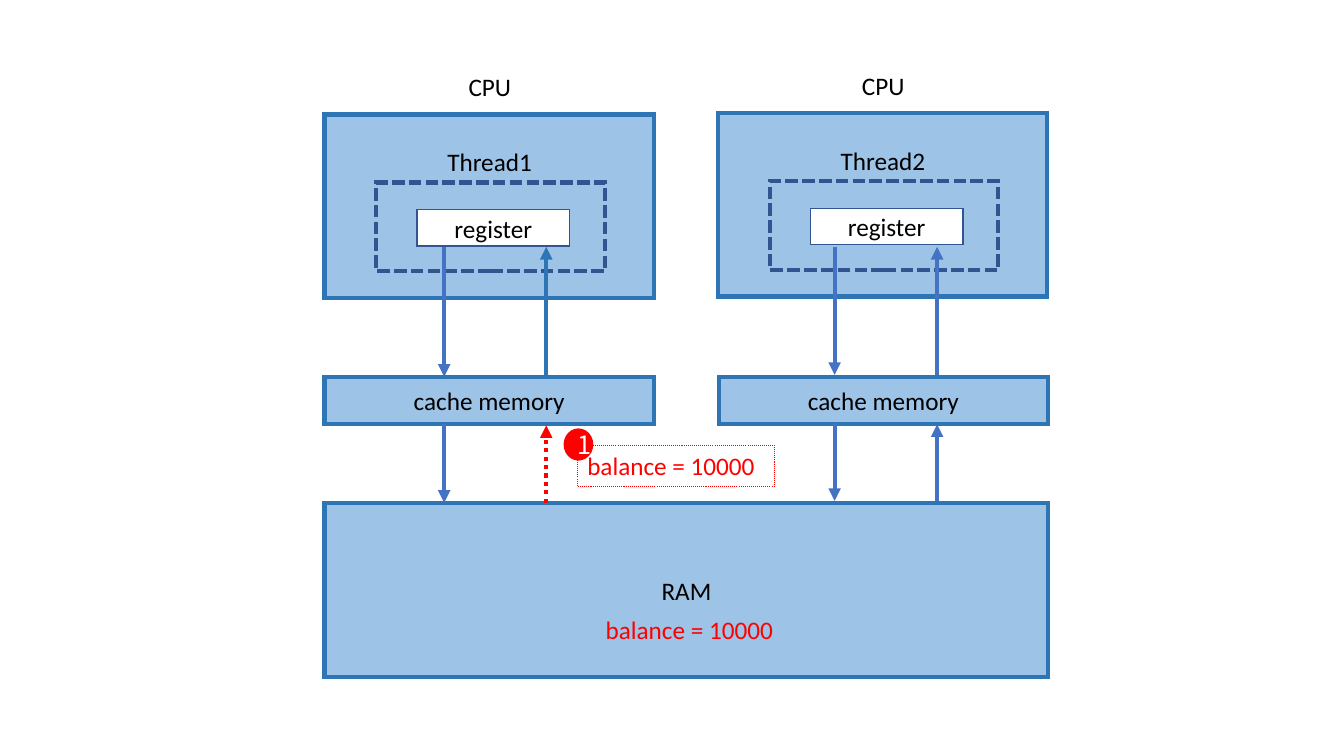
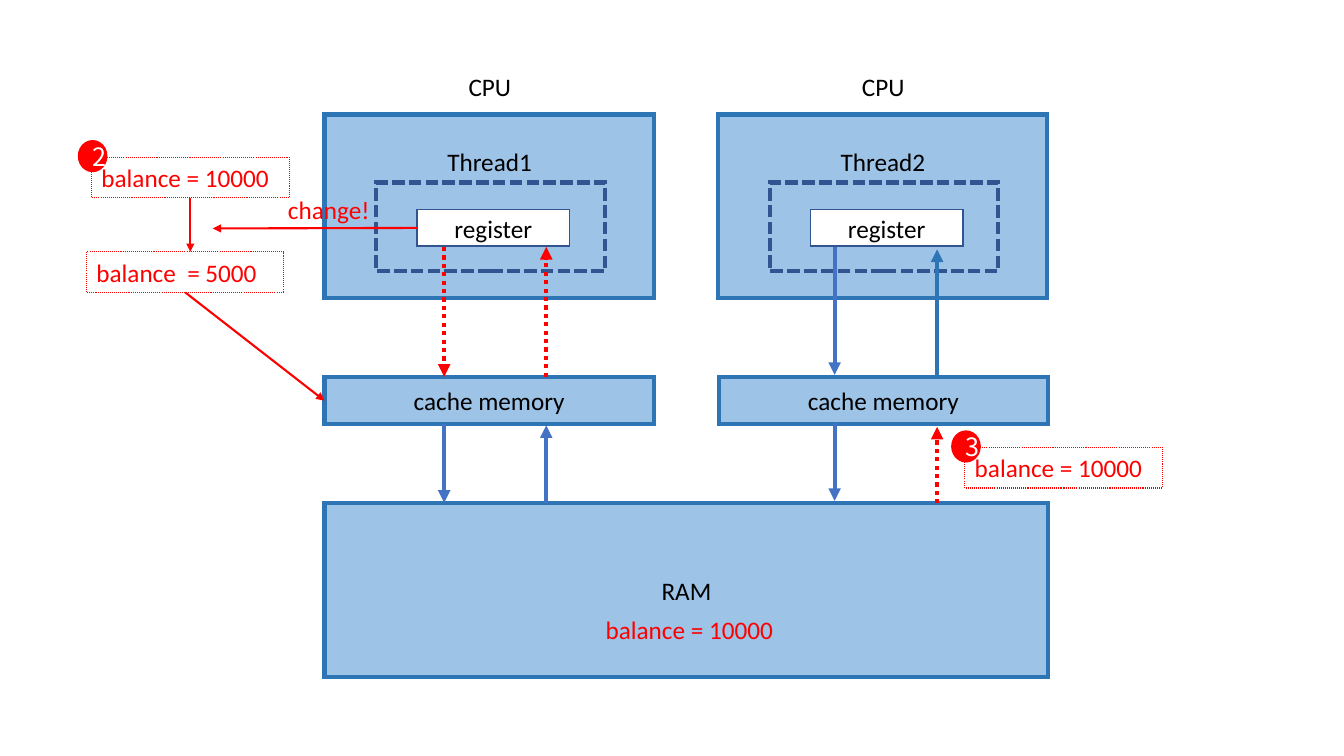
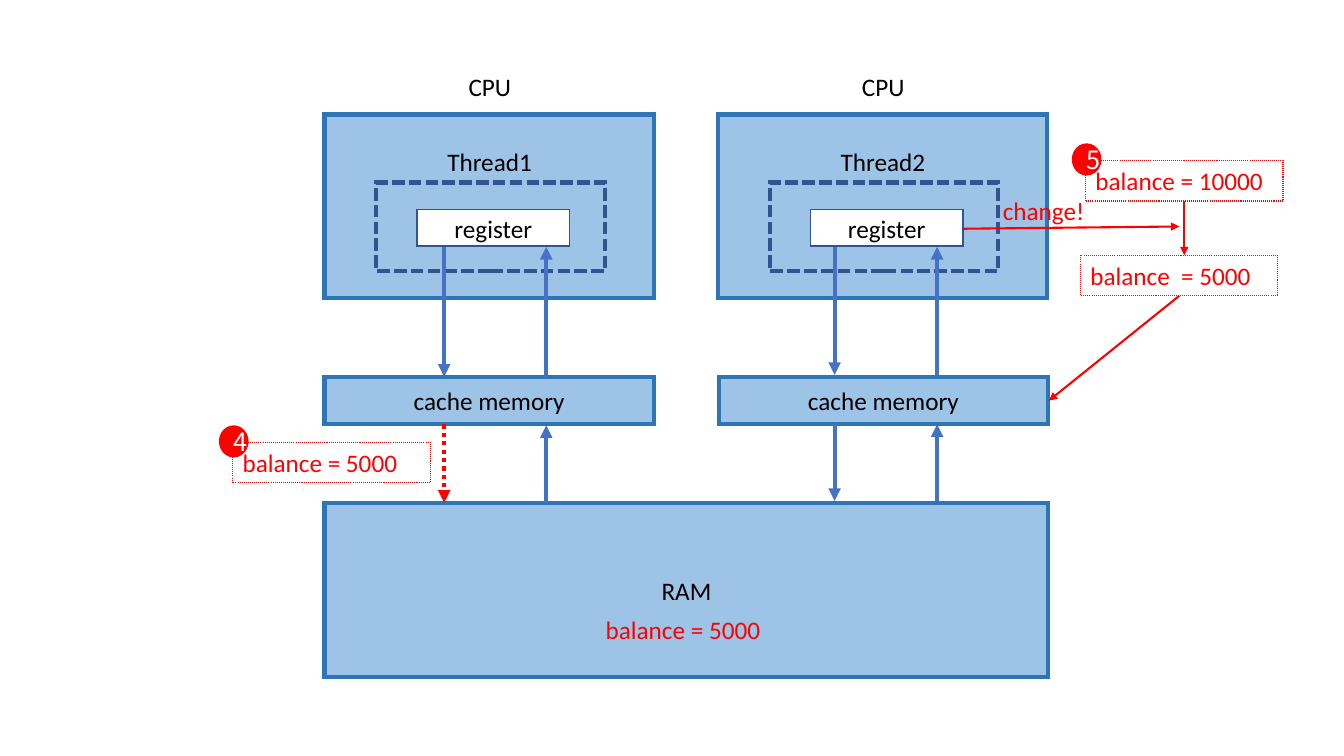
from dataclasses import dataclass
from typing import NamedTuple, Optional, Union

from lxml.etree import SubElement
from pptx import Presentation
from pptx.dml.color import RGBColor
from pptx.enum.dml import MSO_LINE
from pptx.enum.shapes import MSO_CONNECTOR, MSO_SHAPE
from pptx.enum.text import MSO_ANCHOR, MSO_AUTO_SIZE, PP_ALIGN
from pptx.oxml.ns import qn
from pptx.shapes.autoshape import Shape
from pptx.shapes.shapetree import GroupShapes, SlideShapes
from pptx.text.text import TextFrame
from pptx.util import Pt

BLACK = RGBColor(0x00, 0x00, 0x00)
WHITE = RGBColor(0xFF, 0xFF, 0xFF)
RED = RGBColor(0xFF, 0x00, 0x00)
SKY = RGBColor(0x9D, 0xC3, 0xE6)
STEEL = RGBColor(0x2E, 0x75, 0xB6)
NAVY = RGBColor(0x32, 0x54, 0x91)
BLUE = RGBColor(0x44, 0x72, 0xC4)

BODY_FONT = "Calibri"
BADGE_FONT = "Noto Sans CJK KR"
TEXT_SIZE = 18
LABEL_HEIGHT = 29

Shapes = Union[SlideShapes, GroupShapes]


class Point(NamedTuple):
    """A place on the slide, in points."""

    x: float
    y: float


class Box(NamedTuple):
    """A rectangle on the slide, in points."""

    left: float
    top: float
    width: float
    height: float


class Outline(NamedTuple):
    """Colour, width and dash of a line."""

    color: RGBColor
    width: float
    dash: Optional[MSO_LINE] = None


UNIT_EDGE = Outline(STEEL, 3)
THREAD_EDGE = Outline(NAVY, 3, MSO_LINE.SQUARE_DOT)
REGISTER_EDGE = Outline(NAVY, 1)
CALLOUT_EDGE = Outline(RED, 0.75, MSO_LINE.ROUND_DOT)
IDLE = Outline(BLUE, 3)
IDLE_DEEP = Outline(STEEL, 3)
ACTIVE = Outline(RED, 3, MSO_LINE.ROUND_DOT)
CHANGE = Outline(RED, 1.5)

CPU_LEFTS = (231.8, 512.8)
CACHE_LEFTS = (231.8, 513.4)
CPU_TOP = 81.8
UNIT_WIDTH = 235.4
RAM = Box(231.8, 359.2, 517, 124.6)
CALLOUT_WIDTH = 141.1


@dataclass(frozen=True)
class Lane:
    """One data path between two levels of memory."""

    x: float
    start: float
    end: float


LANES = {
    "store1": Lane(317.3, 176.4, 269.2),
    "load1": Lane(390.2, 269.2, 176.4),
    "flush1": Lane(317.3, 303.1, 359.2),
    "fetch1": Lane(390.2, 359.2, 303.8),
    "store2": Lane(596.2, 176.4, 267.8),
    "load2": Lane(669.4, 267.8, 176.4),
    "flush2": Lane(596.2, 302.4, 357.8),
    "fetch2": Lane(669.4, 357.8, 303.1),
}


@dataclass(frozen=True)
class Callout:
    """A numbered balance value."""

    number: str
    balance: str
    at: Point


@dataclass(frozen=True)
class Change:
    """A callout whose balance is changed and written to the cache."""

    callout: Callout
    register: Point
    tip: Point
    label: Point
    cache: Point


@dataclass(frozen=True)
class Scene:
    """What differs from slide to slide."""

    ram_balance: str
    callout: Callout
    active: tuple[str, ...]
    deep: tuple[str, ...] = ()
    change: Optional[Change] = None
    cpu2_rise: float = 0
    read2_drop: float = 0


SCENES = (
    Scene("balance = 10000", Callout("1", "balance = 10000", Point(412.4, 318.2)),
          active=("fetch1",), deep=("load1",), cpu2_rise=1),
    Scene("balance = 10000", Callout("3", "balance = 10000", Point(689.2, 319.6)),
          active=("store1", "load1", "fetch2"), deep=("load2",), read2_drop=1.8,
          change=Change(Callout("2", "balance = 10000", Point(65.4, 112.2)),
                        register=Point(298, 162.8), tip=Point(152, 163.2),
                        label=Point(198.6, 135.4), cache=Point(231.8, 286.2))),
    Scene("balance = 5000", Callout("4", "balance = 5000", Point(166.2, 316)),
          active=("flush1",),
          change=Change(Callout("5", "balance = 10000", Point(775.4, 114.6)),
                        register=Point(687.8, 163.4), tip=Point(842.4, 161.8),
                        label=Point(709.2, 136.2), cache=Point(749.2, 286.2))),
)


def write(frame: TextFrame, text: str, *, color: RGBColor = BLACK,
          font: str = BODY_FONT, align: PP_ALIGN = PP_ALIGN.CENTER,
          anchor: MSO_ANCHOR = MSO_ANCHOR.MIDDLE, wrap: bool = True,
          grow: bool = False) -> None:
    """Fill a text frame with one formatted paragraph."""
    frame.word_wrap = wrap
    frame.vertical_anchor = anchor
    if grow:
        frame.auto_size = MSO_AUTO_SIZE.SHAPE_TO_FIT_TEXT
    paragraph = frame.paragraphs[0]
    paragraph.alignment = align
    run = paragraph.add_run()
    run.text = text
    run.font.size = Pt(TEXT_SIZE)
    run.font.name = font
    run.font.color.rgb = color


def add_panel(shapes: Shapes, box: Box, *, fill: Optional[RGBColor] = None,
              edge: Optional[Outline] = None,
              preset: MSO_SHAPE = MSO_SHAPE.RECTANGLE) -> Shape:
    """Add a preset shape with the given fill and a sharp-cornered outline."""
    panel = shapes.add_shape(preset, *map(Pt, box))
    panel.shadow.inherit = False
    if fill is None:
        panel.fill.background()
    else:
        panel.fill.solid()
        panel.fill.fore_color.rgb = fill
    if edge is None:
        panel.line.fill.background()
    else:
        panel.line.color.rgb = edge.color
        panel.line.width = Pt(edge.width)
        if edge.dash is not None:
            panel.line.dash_style = edge.dash
        SubElement(panel.element.spPr.find(qn("a:ln")), qn("a:miter"), lim="800000")
    return panel


def add_label(shapes: Shapes, text: str, at: Point, width: float,
              color: RGBColor = BLACK) -> None:
    """Add a one-line text box."""
    label = shapes.add_textbox(*map(Pt, Box(at.x, at.y, width, LABEL_HEIGHT)))
    write(label.text_frame, text, color=color, align=PP_ALIGN.LEFT,
          anchor=MSO_ANCHOR.TOP, wrap=False, grow=True)


def add_arrow(shapes: Shapes, start: Point, end: Point, style: Outline) -> None:
    """Add a straight arrow with a triangle at its end."""
    arrow = shapes.add_connector(MSO_CONNECTOR.STRAIGHT, *map(Pt, (*start, *end)))
    arrow.line.color.rgb = style.color
    arrow.line.width = Pt(style.width)
    if style.dash is not None:
        arrow.line.dash_style = style.dash
    properties = arrow.element.spPr
    SubElement(properties.find(qn("a:ln")), qn("a:tailEnd"), type="triangle")
    SubElement(properties, qn("a:effectLst"))


def add_cpu(shapes: Shapes, thread: str, left: float, top: float) -> None:
    """Add a CPU with its thread and register as one group."""
    parts = shapes.add_group_shape().shapes
    add_panel(parts, Box(left, top, UNIT_WIDTH, 131), fill=SKY, edge=UNIT_EDGE)
    add_panel(parts, Box(left + 37, top + 48.6, 163.4, 63.4), edge=THREAD_EDGE)
    register = add_panel(parts, Box(left + 66.2, top + 68, 108.8, 26),
                         fill=WHITE, edge=REGISTER_EDGE)
    write(register.text_frame, "register")
    add_label(parts, thread, Point(left + 80.6, top + 19.4), 75.6)
    add_label(parts, "CPU", Point(left + 95.8, top - 34.2), 48)


def add_memory(shapes: Shapes, text: str, box: Box) -> None:
    """Add a captioned memory block."""
    memory = add_panel(shapes, box, fill=SKY, edge=UNIT_EDGE)
    write(memory.text_frame, text)


def add_balance(shapes: Shapes, text: str, at: Point) -> None:
    """Add a dotted box with a balance value."""
    balance = add_panel(shapes, Box(at.x, at.y, CALLOUT_WIDTH, LABEL_HEIGHT),
                        edge=CALLOUT_EDGE)
    write(balance.text_frame, text, color=RED, align=PP_ALIGN.LEFT,
          anchor=MSO_ANCHOR.TOP, grow=True)


def add_callout(shapes: Shapes, callout: Callout) -> None:
    """Add a balance box with a numbered badge on its corner."""
    parts = shapes.add_group_shape().shapes
    x, y = callout.at
    add_balance(parts, callout.balance, callout.at)
    badge = add_panel(parts, Box(x - 9.8, y - 12.2, 21.2, 23), fill=RED,
                      preset=MSO_SHAPE.OVAL)
    write(badge.text_frame, callout.number, color=WHITE, font=BADGE_FONT)


def add_change(shapes: Shapes, change: Change) -> None:
    """Add the old balance, the new one and the arrows that link them."""
    add_callout(shapes, change.callout)
    x, y = change.callout.at
    middle = x + CALLOUT_WIDTH / 2
    result = Point(x - 3.6, y + 67.7)
    add_arrow(shapes, Point(middle, y + LABEL_HEIGHT), Point(middle, result.y), CHANGE)
    add_balance(shapes, "balance  = 5000", result)
    add_arrow(shapes, change.register, change.tip, CHANGE)
    add_label(shapes, "change!", change.label, 73.4, RED)
    add_arrow(shapes, Point(middle - 3.6, result.y + LABEL_HEIGHT), change.cache, CHANGE)


def add_lanes(shapes: Shapes, scene: Scene) -> None:
    """Add the data paths, with the active ones in red."""
    for name, lane in LANES.items():
        drop = scene.read2_drop if name in ("load2", "fetch2") else 0
        style = (ACTIVE if name in scene.active
                 else IDLE_DEEP if name in scene.deep else IDLE)
        add_arrow(shapes, Point(lane.x, lane.start + drop),
                  Point(lane.x, lane.end + drop), style)


def draw_scene(shapes: Shapes, scene: Scene) -> None:
    """Draw the whole memory diagram for one step."""
    for thread, left, rise in zip(("Thread1", "Thread2"), CPU_LEFTS,
                                  (0, scene.cpu2_rise)):
        add_cpu(shapes, thread, left, CPU_TOP - rise)
    for left in CACHE_LEFTS:
        add_memory(shapes, "cache memory", Box(left, 269.2, UNIT_WIDTH, 33.8))
    add_memory(shapes, "RAM", RAM)
    add_lanes(shapes, scene)
    add_callout(shapes, scene.callout)
    add_label(shapes, scene.ram_balance, Point(425.5, 435.4),
              135.4 if scene.ram_balance.endswith("10000") else 126.7, RED)
    if scene.change is not None:
        add_change(shapes, scene.change)


def main() -> None:
    """Build and save the presentation."""
    deck = Presentation()
    deck.slide_width, deck.slide_height = Pt(960), Pt(540)
    blank_layout = deck.slide_layouts[6]
    for scene in SCENES:
        draw_scene(deck.slides.add_slide(blank_layout).shapes, scene)
    deck.save("out.pptx")


main()
